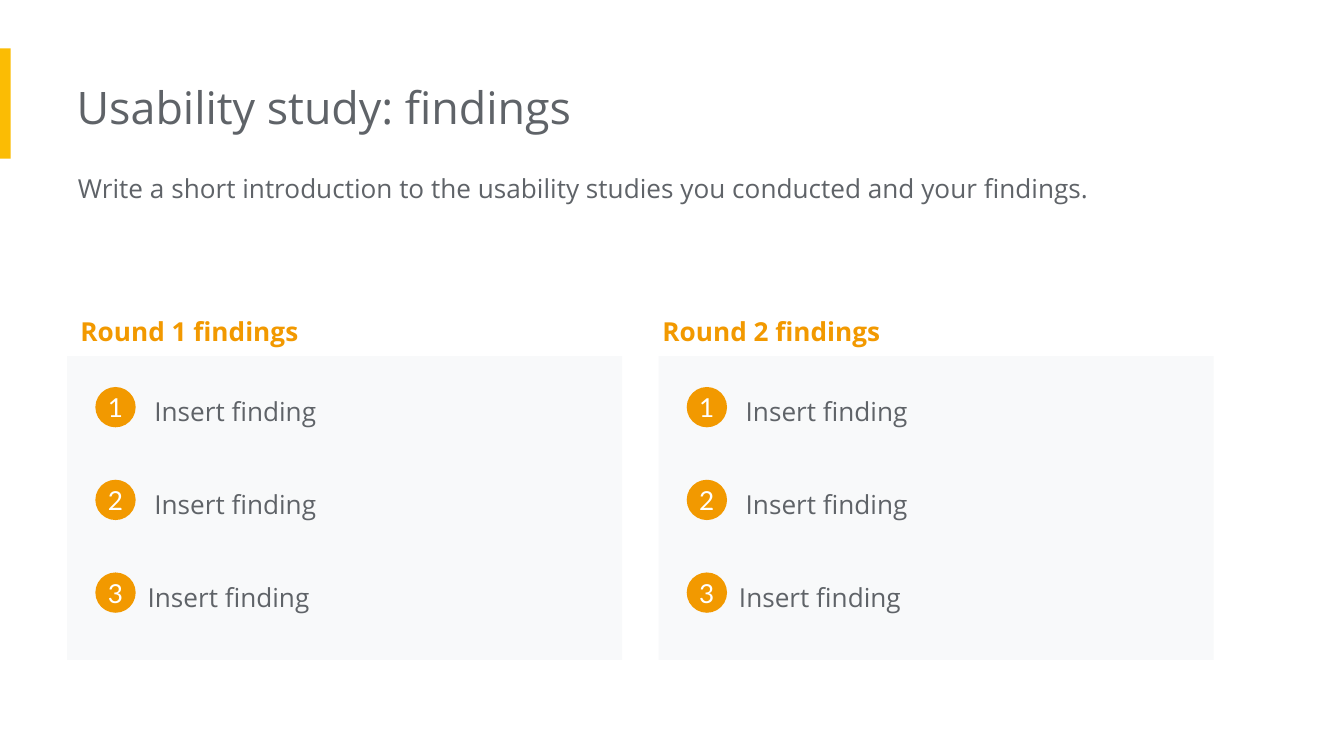
from pptx import Presentation
from pptx.dml.color import RGBColor
from pptx.enum.shapes import MSO_SHAPE
from pptx.enum.text import MSO_ANCHOR, PP_ALIGN
from pptx.util import Inches, Pt

YELLOW = RGBColor(0xFB, 0xBC, 0x04)
ORANGE = RGBColor(0xF2, 0x99, 0x00)
GRAY = RGBColor(0x5F, 0x63, 0x68)
PANEL = RGBColor(0xF8, 0xF9, 0xFA)
WHITE = RGBColor(0xFF, 0xFF, 0xFF)
RECTANGLE, OVAL = MSO_SHAPE.RECTANGLE, MSO_SHAPE.OVAL
TOP, MIDDLE = MSO_ANCHOR.TOP, MSO_ANCHOR.MIDDLE
LEFT, CENTER = PP_ALIGN.LEFT, PP_ALIGN.CENTER

TITLE_ONLY = 5
SLIDE_WIDTH = Inches(10)
SLIDE_HEIGHT = SLIDE_WIDTH * 9 // 16
TITLE_BOX = (0.57, 0.49, 6.73, 0.61)
INTRO_BOX = (0.58, 1.15, 8.61, 0.71)
LABEL_SIZE = (3.65, 0.44)
PANEL_TOP, PANEL_WIDTH, PANEL_HEIGHT = 2.65, 4.13, 2.26
BADGE = 0.3
ROW_PITCH = 0.69

# Panel left, heading left, heading
ROUNDS = [
    (0.5, 0.5, "Round 1 findings"),
    (4.9, 4.83, "Round 2 findings"),
]
# Text offset from the panel's left edge, finding
FINDINGS = [
    (0.55, "Insert finding"),
    (0.55, "Insert finding"),
    (0.5, "Insert finding"),
]


def write(frame, text, size=14, color=GRAY, font="Open Sans", bold=False,
          align=LEFT, anchor=TOP, left_inset=0.1, inset=0.1, spacing=1.15):
    frame.word_wrap = True
    frame.vertical_anchor = anchor
    frame.margin_left = Inches(left_inset)
    frame.margin_top = frame.margin_right = frame.margin_bottom = Inches(inset)
    frame.text = text
    paragraph = frame.paragraphs[0]
    paragraph.alignment = align
    paragraph.line_spacing = spacing
    style = paragraph.runs[0].font
    style.name, style.size, style.bold = font, Pt(size), bold
    style.color.rgb = color


def add_label(slide, box, text, **style):
    label = slide.shapes.add_textbox(*map(Inches, box))
    write(label.text_frame, text, **style)


def add_block(slide, kind, box, color):
    block = slide.shapes.add_shape(kind, *map(Inches, box))
    block.shadow.inherit = False
    block.fill.solid()
    block.fill.fore_color.rgb = color
    block.line.fill.background()
    return block


def add_header(slide):
    add_block(slide, RECTANGLE, (0, 0.36, 0.08, 0.82), YELLOW)
    title = slide.shapes.title
    title.left, title.top, title.width, title.height = map(Inches, TITLE_BOX)
    write(title.text_frame, "Usability study: findings", size=24,
          left_inset=0, spacing=1.0)
    add_label(slide, INTRO_BOX,
              "Write a short introduction to the usability studies you "
              "conducted and your findings.", left_inset=0)


def add_finding(slide, left, top, number, text_offset, finding):
    add_label(slide, (left + text_offset, top, *LABEL_SIZE), finding)
    badge = add_block(slide, OVAL, (left + 0.21, top + 0.07, BADGE, BADGE),
                      ORANGE)
    write(badge.text_frame, str(number), color=WHITE, font="Lato",
          align=CENTER, anchor=MIDDLE, left_inset=0, inset=0, spacing=1.0)


def add_round(slide, left, heading_left, heading):
    add_block(slide, RECTANGLE, (left, PANEL_TOP, PANEL_WIDTH, PANEL_HEIGHT),
              PANEL)
    add_label(slide, (heading_left, PANEL_TOP - LABEL_SIZE[1], *LABEL_SIZE),
              heading, color=ORANGE, bold=True)
    for row, (text_offset, finding) in enumerate(FINDINGS):
        add_finding(slide, left, PANEL_TOP + 0.16 + row * ROW_PITCH,
                    row + 1, text_offset, finding)


def main():
    deck = Presentation()
    deck.slide_width, deck.slide_height = SLIDE_WIDTH, SLIDE_HEIGHT
    slide = deck.slides.add_slide(deck.slide_layouts[TITLE_ONLY])
    add_header(slide)
    for left, heading_left, heading in ROUNDS:
        add_round(slide, left, heading_left, heading)
    deck.save("out.pptx")


if __name__ == "__main__":
    main()
